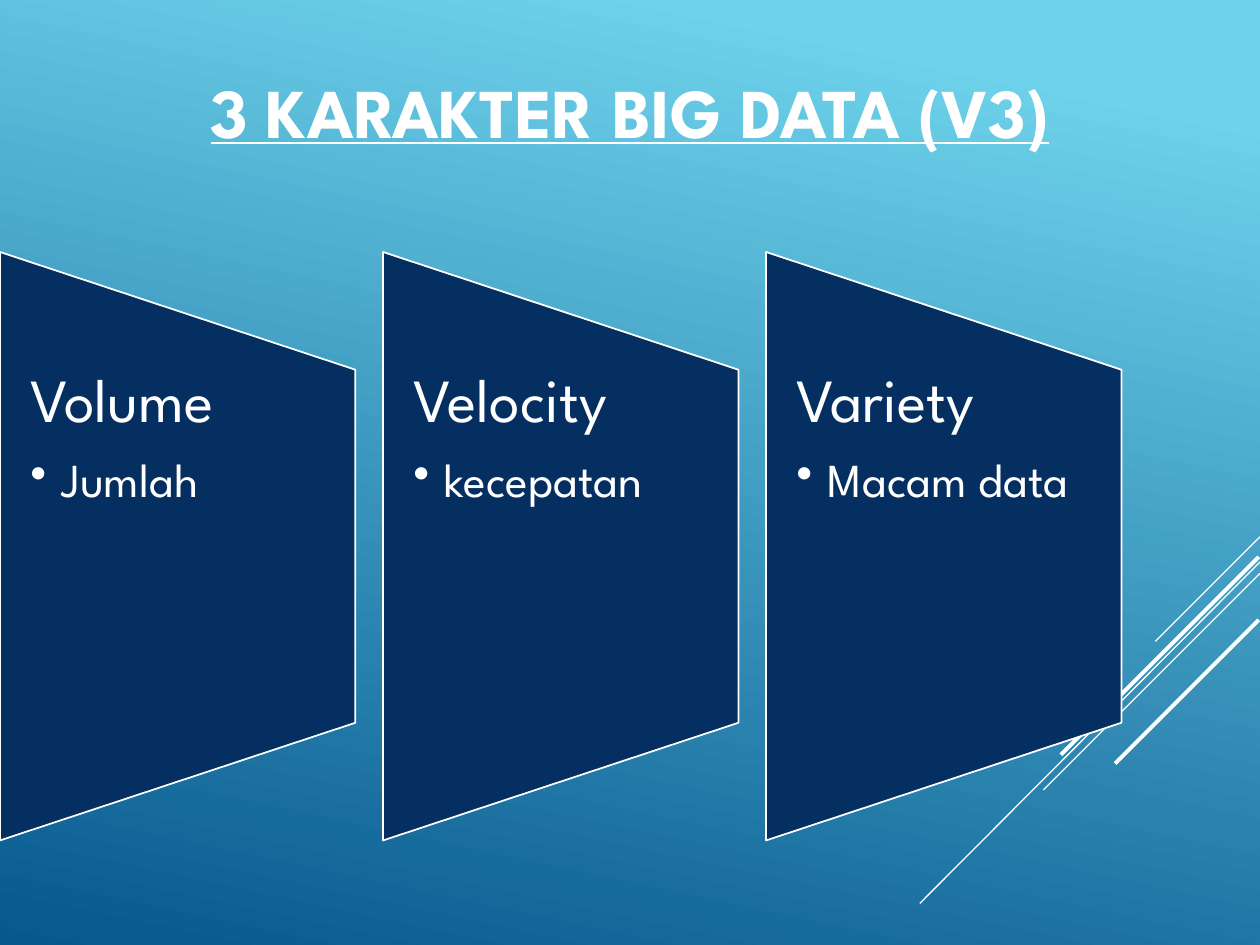
from lxml import etree
from pptx import Presentation
from pptx.dml.color import RGBColor
from pptx.enum.shapes import MSO_CONNECTOR, MSO_SHAPE
from pptx.enum.text import MSO_ANCHOR, MSO_AUTO_SIZE, PP_ALIGN
from pptx.oxml.ns import qn
from pptx.util import Inches, Pt

STRAIGHT = MSO_CONNECTOR.STRAIGHT
TRAPEZOID = MSO_SHAPE.FLOWCHART_MANUAL_OPERATION
TOP, MIDDLE = MSO_ANCHOR.TOP, MSO_ANCHOR.MIDDLE
LEFT, CENTER = PP_ALIGN.LEFT, PP_ALIGN.CENTER
NO_FIT = MSO_AUTO_SIZE.NONE

TITLE = "3 KARAKTER BIG DATA (V3)"
CHARACTERISTICS = [
    ("Volume", "Jumlah"),
    ("Velocity", "kecepatan"),
    ("Variety", "Macam data"),
]
STREAKS = [
    ((10, 4.26), (9.17, 5.09), 0.75),
    ((10, 4.46), (7.3, 7.17), 0.75),
    ((10, 4.55), (8.28, 6.27), 0.75),
    ((9.99, 4.42), (8.42, 5.99), 2.25),
    ((9.99, 4.92), (8.85, 6.06), 2.25),
]
THEME = {
    "font": "League Spartan",
    "white": RGBColor.from_string("FFFFFF"),
    "panel": RGBColor.from_string("052F61"),
    "sky": [(0.1, RGBColor.from_string("6ED2EB")), (1, RGBColor.from_string("06588E"))],
    "title_size": 40,
    "heading_size": 35,
    "detail_size": 27,
}
SLIDE_W, SLIDE_H = 10, 7.5
PANEL_W, PANEL_H, PANEL_PITCH, PANEL_TOP = 2.82, 4.67, 3.04, 2
LABEL_TOP, LABEL_H, LABEL_INSET = 2.93, 2.8, 0.24
BULLET_INDENT = 0.25


def write(paragraph, text, size, align=LEFT, bold=False, underline=False,
          line_spacing=None, space_after=0, bullet=False):
    paragraph.alignment = align
    paragraph.line_spacing = line_spacing
    paragraph.space_after = Pt(space_after)
    run = paragraph.add_run()
    run.text = text
    font = run.font
    font.name, font.size = THEME["font"], Pt(size)
    font.bold, font.underline = bold, underline
    font.color.rgb = THEME["white"]
    if bullet:
        paragraph.level = 1
        properties = paragraph._p.get_or_add_pPr()
        properties.set("marL", str(Inches(BULLET_INDENT)))
        properties.set("indent", str(-Inches(BULLET_INDENT)))
        etree.SubElement(properties, qn("a:buChar")).set("char", "•")


def set_frame(frame, anchor, inset):
    frame.word_wrap = True
    frame.auto_size = NO_FIT
    frame.vertical_anchor = anchor
    frame.margin_left = frame.margin_right = Inches(inset)
    frame.margin_top = frame.margin_bottom = 0


def paint_background(slide):
    sky = slide.background.fill
    sky.gradient()
    sky.gradient_angle = 360 - 102
    for stop, (position, color) in zip(sky.gradient_stops, THEME["sky"]):
        stop.position = position
        stop.color.rgb = color


def add_streak(slide, start, end, width):
    streak = slide.shapes.add_connector(STRAIGHT, *map(Inches, start + end))
    streak.line.color.rgb = THEME["white"]
    streak.line.width = Pt(width)
    etree.SubElement(streak._element.spPr, qn("a:effectLst"))


def add_title(slide):
    title = slide.shapes.title
    title.left, title.top = 0, Inches(0.42)
    title.width, title.height = Inches(SLIDE_W), Inches(0.92)
    set_frame(title.text_frame, MIDDLE, 0.1)
    write(title.text_frame.paragraphs[0], TITLE, THEME["title_size"],
          align=CENTER, bold=True, underline=True)


def add_panel(slide, left, heading, detail):
    turn_offset = (PANEL_H - PANEL_W) / 2
    panel = slide.shapes.add_shape(
        TRAPEZOID, Inches(left - turn_offset), Inches(PANEL_TOP + turn_offset),
        Inches(PANEL_H), Inches(PANEL_W))
    panel.rotation = 270
    panel.shadow.inherit = False
    panel.fill.solid()
    panel.fill.fore_color.rgb = THEME["panel"]
    panel.line.color.rgb = THEME["white"]
    panel.line.width = Pt(1)

    label = slide.shapes.add_textbox(
        Inches(left), Inches(LABEL_TOP), Inches(PANEL_W), Inches(LABEL_H)).text_frame
    set_frame(label, TOP, LABEL_INSET)
    write(label.paragraphs[0], heading, THEME["heading_size"],
          line_spacing=0.9, space_after=12)
    write(label.add_paragraph(), detail, THEME["detail_size"],
          line_spacing=0.9, space_after=4, bullet=True)


def main():
    deck = Presentation()
    deck.slide_width, deck.slide_height = Inches(SLIDE_W), Inches(SLIDE_H)
    slide = deck.slides.add_slide(deck.slide_layouts[5])
    paint_background(slide)
    for start, end, width in STREAKS:
        add_streak(slide, start, end, width)
    add_title(slide)
    for column, (heading, detail) in enumerate(CHARACTERISTICS):
        add_panel(slide, column * PANEL_PITCH, heading, detail)
    deck.save("out.pptx")


if __name__ == "__main__":
    main()
